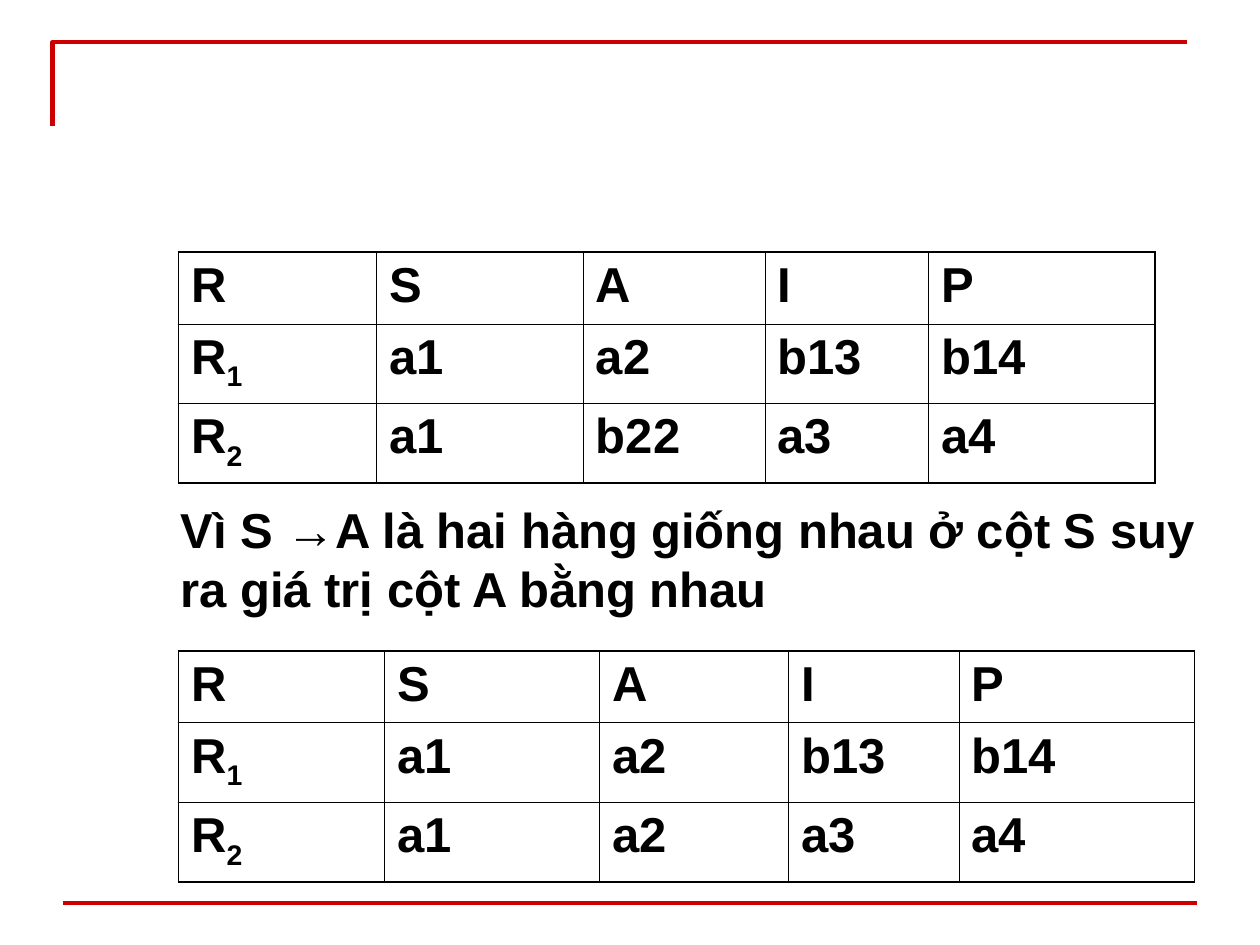
import pptx
import pptx.dml.color
import pptx.enum.shapes
import pptx.oxml
import pptx.oxml.ns
import pptx.util
import lxml.etree

Cm = pptx.util.Cm
Pt = pptx.util.Pt
qn = pptx.oxml.ns.qn


def rgb(hex_text):
    return pptx.dml.color.RGBColor.from_string(hex_text)


def write(frame, text, font="Arial", size=28, color="000000", bold=True):
    """Write one paragraph; the part after an underscore becomes a subscript."""
    paragraph = frame.paragraphs[0]
    base, _, subscript = text.partition("_")
    for part, offset in ((base, None), (subscript, "-25000")):
        if not part:
            continue
        run = paragraph.add_run()
        run.text = part
        run.font.name = font
        run.font.size = Pt(size)
        run.font.bold = bold
        run.font.color.rgb = rgb(color)
        if offset:
            run.font._element.set("baseline", offset)


class RelationSlide:
    ACCENT = "CC0000"
    GRID = "000000"
    THIN, THICK = 0.45, 1.08

    def __init__(self, deck):
        self.slide = deck.slides.add_slide(deck.slide_layouts[6])

    def corner(self, points, weight):
        (x, y), *others = [(Cm(a), Cm(b)) for a, b in points]
        builder = self.slide.shapes.build_freeform(x, y)
        builder.add_line_segments(others, close=False)
        frame = builder.convert_to_shape()
        frame.shadow.inherit = False
        frame.fill.background()
        frame.line.color.rgb = rgb(self.ACCENT)
        frame.line.width = Pt(weight)

    def rule(self, left, right, y, weight):
        line = self.slide.shapes.add_connector(
            pptx.enum.shapes.MSO_CONNECTOR.STRAIGHT, Cm(left), Cm(y), Cm(right), Cm(y))
        line.line.color.rgb = rgb(self.ACCENT)
        line.line.width = Pt(weight)
        lxml.etree.SubElement(line._element.spPr, qn("a:effectLst"))

    def text(self, content, left, top, width, height):
        box = self.slide.shapes.add_textbox(Cm(left), Cm(top), Cm(width), Cm(height))
        box.text_frame.word_wrap = True
        write(box.text_frame, content)

    def border(self, cell, side, weight):
        line = lxml.etree.SubElement(cell._tc.get_or_add_tcPr(), qn("a:ln" + side))
        line.set("w", str(int(Pt(weight))))
        fill = lxml.etree.SubElement(line, qn("a:solidFill"))
        lxml.etree.SubElement(fill, qn("a:srgbClr")).set("val", self.GRID)

    def table(self, rows, left, top, widths, heights):
        grid = self.slide.shapes.add_table(
            len(rows), len(widths), Cm(left), Cm(top),
            Cm(sum(widths)), Cm(sum(heights))).table
        grid.first_row = grid.horz_banding = False
        for column, width in zip(grid.columns, widths):
            column.width = Cm(width)
        for row, height in zip(grid.rows, heights):
            row.height = Cm(height)
        last_row, last_column = len(rows) - 1, len(widths) - 1
        for r, row in enumerate(rows):
            for c, value in enumerate(row):
                cell = grid.cell(r, c)
                write(cell.text_frame, value)
                # Outer edges are thicker than the inner grid
                outer = {"L": c == 0, "R": c == last_column,
                         "T": r == 0, "B": r == last_row}
                for side, is_outer in outer.items():
                    self.border(cell, side, self.THICK if is_outer else self.THIN)
                cell.fill.background()


def main():
    deck = pptx.Presentation()
    deck.slide_width, deck.slide_height = Cm(25.4), Cm(19.05)
    page = RelationSlide(deck)

    # Red frame
    page.corner([(1.06, 2.54), (1.06, 0.85), (23.92, 0.85)], 2.5)
    page.rule(1.27, 24.13, 18.2, 2)

    # Relation before and after applying S → A
    header = ["R", "S", "A", "I", "P"]
    first = ["R_1", "a1", "a2", "b13", "b14"]
    before = [header, first, ["R_2", "a1", "b22", "a3", "a4"]]
    after = [header, first, ["R_2", "a1", "a2", "a3", "a4"]]
    widths = [3.99, 4.17, 3.66, 3.3, 4.57]
    wider = [round(width * 1.04, 2) for width in widths]
    heights = [1.45, 1.6, 1.6]
    page.table(before, 3.6, 5.08, widths, heights)
    page.text("Vì S →A là hai hàng giống nhau ở cột S suy ra giá trị cột A bằng nhau",
              3.39, 9.95, 20.96, 2.65)
    page.table(after, 3.6, 13.12, wider, heights)

    deck.save("out.pptx")


if __name__ == "__main__":
    main()
